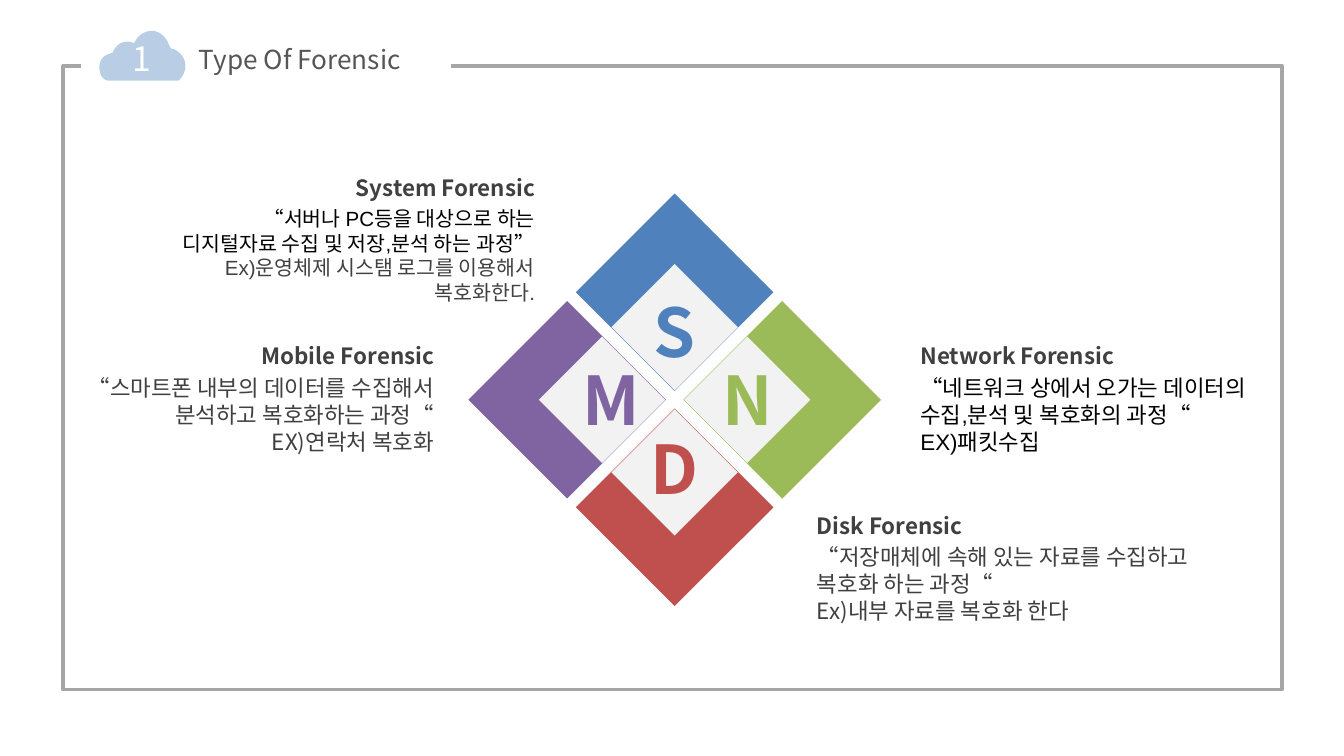
from pptx import Presentation
from pptx.dml.color import RGBColor
from pptx.enum.shapes import MSO_SHAPE
from pptx.enum.text import MSO_ANCHOR, MSO_AUTO_SIZE, PP_ALIGN
from pptx.util import Inches, Pt

CELL = Inches(0.1)  # the slide is a grid of 100 columns by 56.25 rows
COLS, ROWS = 100, 56.25
MID = (50.2, 29.75)
SANS = "Noto Sans CJK KR"
GREY, BLACK, WHITE = "404040", "000000", "FFFFFF"
LEFT, RIGHT, CENTER = PP_ALIGN.LEFT, PP_ALIGN.RIGHT, PP_ALIGN.CENTER

# letter, colour, direction from the middle
TILES = [
    ("S", "4F81BD", (0, -1)),
    ("D", "C0504D", (0, 1)),
    ("M", "8064A2", (-1, 0)),
    ("N", "9BBB59", (1, 0)),
]

# heading, column, row, body width, body height, alignment, size, font, (line, colour) pairs
NOTES = [
    ("Network Forensic", 67.5, 25, 28.3, 11.1, LEFT, 12, "Arial", [
        ("“네트워크 상에서 오가는 데이터의 수집,분석 및 복호화의 과정“", BLACK),
        ("EX)패킷수집", BLACK)]),
    ("Mobile Forensic", 5, 25, 28.3, 9.1, RIGHT, 12, SANS, [
        ("“스마트폰 내부의 데이터를 수집해서 분석하고 복호화하는 과정“", GREY),
        ("EX)연락처 복호화", GREY)]),
    ("Disk Forensic", 59.8, 37.6, 30.7, 9.1, LEFT, 12, SANS, [
        ("“저장매체에 속해 있는 자료를 수집하고 복호화 하는 과정“", GREY),
        ("Ex)내부 자료를 복호화 한다", GREY)]),
    ("System Forensic", 12.5, 12.5, 28.3, 8.4, RIGHT, 11, "Arial", [
        ("“서버나 PC등을 대상으로 하는 디지털자료 수집 및 저장,분석 하는 과정”", BLACK),
        ("Ex)운영체제 시스탬 로그를 이용해서 복호화한다.", GREY)]),
]

# cloud outline from its top: each step is a curve (three points) or a line (one)
CLOUD_TOP = (11.3, 2.3)
CLOUD = [
    [(11.9, 2.3), (12.4, 2.8), (12.6, 3.4)], [(12.7, 3.6)],
    [(13.3, 3.7), (13.8, 4.3), (13.8, 4.9)],
    [(13.8, 5.3), (13.6, 5.7), (13.3, 6)], [(8, 6)],
    [(7.6, 5.9), (7.4, 5.5), (7.4, 5)],
    [(7.4, 4.5), (7.7, 4.1), (8.2, 4)], [(8.4, 3.9)],
    [(8.6, 3.4), (9, 3.1), (9.5, 3.1)],
    [(9.7, 3.1), (9.9, 3.2), (10, 3.2)],
    [(10.2, 2.7), (10.7, 2.3), (11.3, 2.3)],
]


def color(code):
    return RGBColor.from_string(code)


def grid(*cells):
    return [round(cell * CELL) for cell in cells]


def paint(shape, fill=None, line=None):
    shape.shadow.inherit = False
    if fill:
        shape.fill.solid()
        shape.fill.fore_color.rgb = color(fill)
    else:
        shape.fill.background()
    if line:
        shape.line.color.rgb = color(line)
        shape.line.width = Pt(2)
    else:
        shape.line.fill.background()


def block(slide, kind, box, fill=None, line=None):
    paint(slide.shapes.add_shape(kind, *grid(*box)), fill, line)


def centered(x, y, wide, high):
    return x - wide / 2, y - high / 2, wide, high


def shift(step, way):
    return MID[0] + step * way[0], MID[1] + step * way[1]


def write(shape, lines, size, font=SANS, align=LEFT, bold=False, wrap=True):
    """Fill a shape with (text, colour) lines."""
    frame = shape.text_frame
    frame.text = "\n".join(text for text, _ in lines)
    frame.word_wrap = wrap
    frame.auto_size = MSO_AUTO_SIZE.NONE
    frame.vertical_anchor = MSO_ANCHOR.TOP
    for para, (_, tint) in zip(frame.paragraphs, lines):
        para.alignment = align
        para.line_spacing = Pt(round(size * 1.2, 1))
        para.space_before = Pt(0)
        for run in para.runs:
            run.font.size = Pt(size)
            run.font.name = font
            run.font.bold = bold
            run.font.color.rgb = color(tint)


def label(slide, box, lines, size, **look):
    write(slide.shapes.add_textbox(*grid(*box)), lines, size, **look)


def bezier(start, one, two, end, steps=12):
    for i in range(1, steps + 1):
        t = i / steps
        u = 1 - t
        yield tuple(u**3 * a + 3 * u * u * t * b + 3 * u * t * t * c + t**3 * d
                    for a, b, c, d in zip(start, one, two, end))


def cloud(slide):
    pts = [CLOUD_TOP]
    for step in CLOUD:
        pts += bezier(pts[-1], *step) if len(step) == 3 else step
    form = slide.shapes.build_freeform(*grid(*pts[0]))
    form.add_line_segments([grid(*pt) for pt in pts[1:]], close=True)
    paint(form.convert_to_shape(), "B9CDE5")


def diamonds(slide):
    for _, tint, way in TILES:
        block(slide, MSO_SHAPE.DIAMOND, centered(*shift(8, way), 14.7, 14.7), tint)
    for _, _, way in TILES:
        block(slide, MSO_SHAPE.DIAMOND, centered(*shift(5.4, way), 9.4, 9.4), "F2F2F2")


def letters(slide):
    for text, tint, way in TILES:
        x, y = shift(5.1, way)
        x += 0.3 * abs(way[0])
        label(slide, centered(x, y, 6.1, 7.1), [(text, tint)], 36, align=CENTER, bold=True)


def note(slide, head, x, y, wide, high, align, size, font, lines):
    label(slide, (x, y + 2.35, wide, high), lines, size, font=font, align=align)
    label(slide, (x, y, 28.3, 3), [(head, GREY)], 12, align=align, bold=True)


def header(slide):
    block(slide, MSO_SHAPE.RECTANGLE, (4.7, 4.9, 90.7, 46.4), line="A6A6A6")
    block(slide, MSO_SHAPE.RECTANGLE, (6.2, 3.2, 27.2, 3.4), WHITE, WHITE)
    cloud(slide)
    label(slide, (8.9, 2.3, 3.4, 4), [("1", WHITE)], 18, wrap=False)
    title = slide.shapes.title
    title.left, title.top, title.width, title.height = grid(13.8, 2.7, 21, 3.4)
    write(title, [("Type Of Forensic", "565658")], 14)
    title.element.getparent().append(title.element)  # bring to front


def main():
    deck = Presentation()
    deck.slide_width, deck.slide_height = grid(COLS, ROWS)
    slide = deck.slides.add_slide(deck.slide_layouts[5])
    diamonds(slide)
    for item in NOTES:
        note(slide, *item)
    letters(slide)
    header(slide)
    deck.save("out.pptx")


if __name__ == "__main__":
    main()
